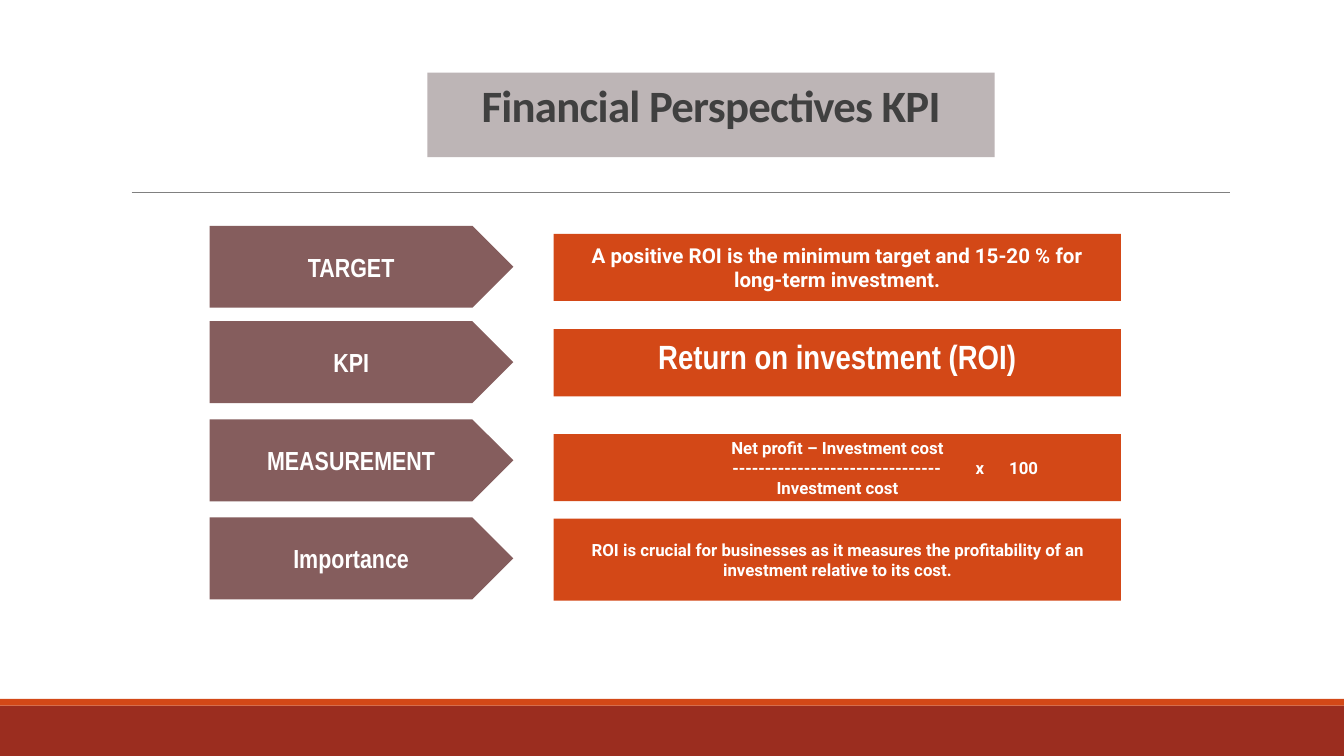
from pptx import Presentation
from pptx import util as u
from pptx.dml.color import RGBColor
from pptx.enum import shapes, text
from pptx.oxml.ns import qn
from lxml import etree

theme = {
    "white": "FFFFFF", "ink": "404040", "rule": "808080", "title": "BDB5B6",
    "tag": "855D5D", "card": "D34817", "foot": "9B2D1F",
    "head_size": 24, "tag_size": 14, "kpi_size": 18, "body_size": 11, "note_size": 9,
    "head_font": "Calibri", "tag_font": "Arial Narrow", "body_font": "Roboto",
}
Inches = u.Inches
RECT = shapes.MSO_SHAPE.RECTANGLE
PLATE = shapes.MSO_SHAPE.PENTAGON


def color(name):
    return RGBColor.from_string(theme[name])


def write(shape, lines, font, size, ink="white", anchor="MIDDLE"):
    """Fill a shape with bold centred paragraphs and set its frame."""
    frame = shape.text_frame
    frame.text = "\n".join(lines)
    edges = ("left", "right", "top", "bottom")
    form = {f"margin_{edge}": Inches(0.1) for edge in edges}
    form |= {"word_wrap": True, "auto_size": text.MSO_AUTO_SIZE.NONE,
             "vertical_anchor": text.MSO_ANCHOR[anchor]}
    for key, value in form.items():
        setattr(frame, key, value)
    face = {"name": theme[font], "size": u.Pt(theme[size]), "bold": True}
    for para in frame.paragraphs:
        para.alignment = text.PP_ALIGN.CENTER
        for run in para.runs:
            for key, value in face.items():
                setattr(run.font, key, value)
            run.font.color.rgb = color(ink)
    return frame


deck = Presentation()
deck.slide_width = Inches(10)
deck.slide_height = deck.slide_width * 9 // 16
slide = deck.slides.add_slide(deck.slide_layouts[5])


def block(kind, fill, left, top, width, height):
    shape = slide.shapes.add_shape(kind, *map(Inches, (left, top, width, height)))
    shape.shadow.inherit = False
    shape.fill.solid()
    shape.fill.fore_color.rgb = color(fill)
    shape.line.fill.background()
    return shape


# Footer bands and rule
foot = block(RECT, "foot", 0, 5.25, 10, 0.38)
foot.height = deck.slide_height - foot.top
block(RECT, "card", 0, 5.2, 10, 0.05)
rule = slide.shapes.add_connector(
    shapes.MSO_CONNECTOR.STRAIGHT, *map(Inches, (0.98, 1.43, 9.15, 1.43)))
rule.line.color.rgb = color("rule")
rule.line.width = u.Pt(0.5)
etree.SubElement(rule._element.spPr, qn("a:effectLst"))

# Title
title = slide.shapes.title
place = {"left": 3.18, "top": 0.54, "width": 4.22, "height": 0.63}
for key, value in place.items():
    setattr(title, key, Inches(value))
title.fill.solid()
title.fill.fore_color.rgb = color("title")
frame = write(title, ["Financial Perspectives KPI"], "head_font", "head_size", "ink", "TOP")
head = frame.paragraphs[0]
head.line_spacing = 0.85
head.runs[0]._r.get_or_add_rPr().set("spc", "-40")

# Rows: tag, tag top, card top, card height, card lines, font, size
rows = [
    ("TARGET", 1.68, 1.74, 0.5,
     ["A positive ROI is the minimum target and 15-20 % for long-term investment."],
     "body_font", "body_size"),
    ("KPI", 2.39, 2.45, 0.5, ["Return on investment (ROI)"], "tag_font", "kpi_size"),
    ("MEASUREMENT", 3.12, 3.23, 0.5,
     ["Net profit – Investment cost", "\t" + "-" * 32 + "\tx\t100", "Investment cost"],
     "body_font", "note_size"),
    ("Importance", 3.85, 3.86, 0.61,
     ["ROI is crucial for businesses as it measures the profitability of an "
      "investment relative to its cost."],
     "body_font", "note_size"),
]
for tag, top, card_top, high, lines, font, size in rows:
    write(block(PLATE, "tag", 1.56, top, 2.26, 0.61), [tag], "tag_font", "tag_size")
    frame = write(block(RECT, "card", 4.12, card_top, 4.22, high), lines, font, size)
    if tag == "KPI":
        frame.margin_bottom = Inches(0.2)
    if tag == "MEASUREMENT":
        # Tab stops place the fraction bar and its factor
        bar = frame.paragraphs[1]
        bar.alignment = text.PP_ALIGN.LEFT
        tabs = etree.SubElement(bar._p.get_or_add_pPr(), qn("a:tabLst"))
        for stop in (1.23, 3.04, 3.29):
            etree.SubElement(tabs, qn("a:tab"), pos=str(Inches(stop)), algn="l")

deck.save("out.pptx")
